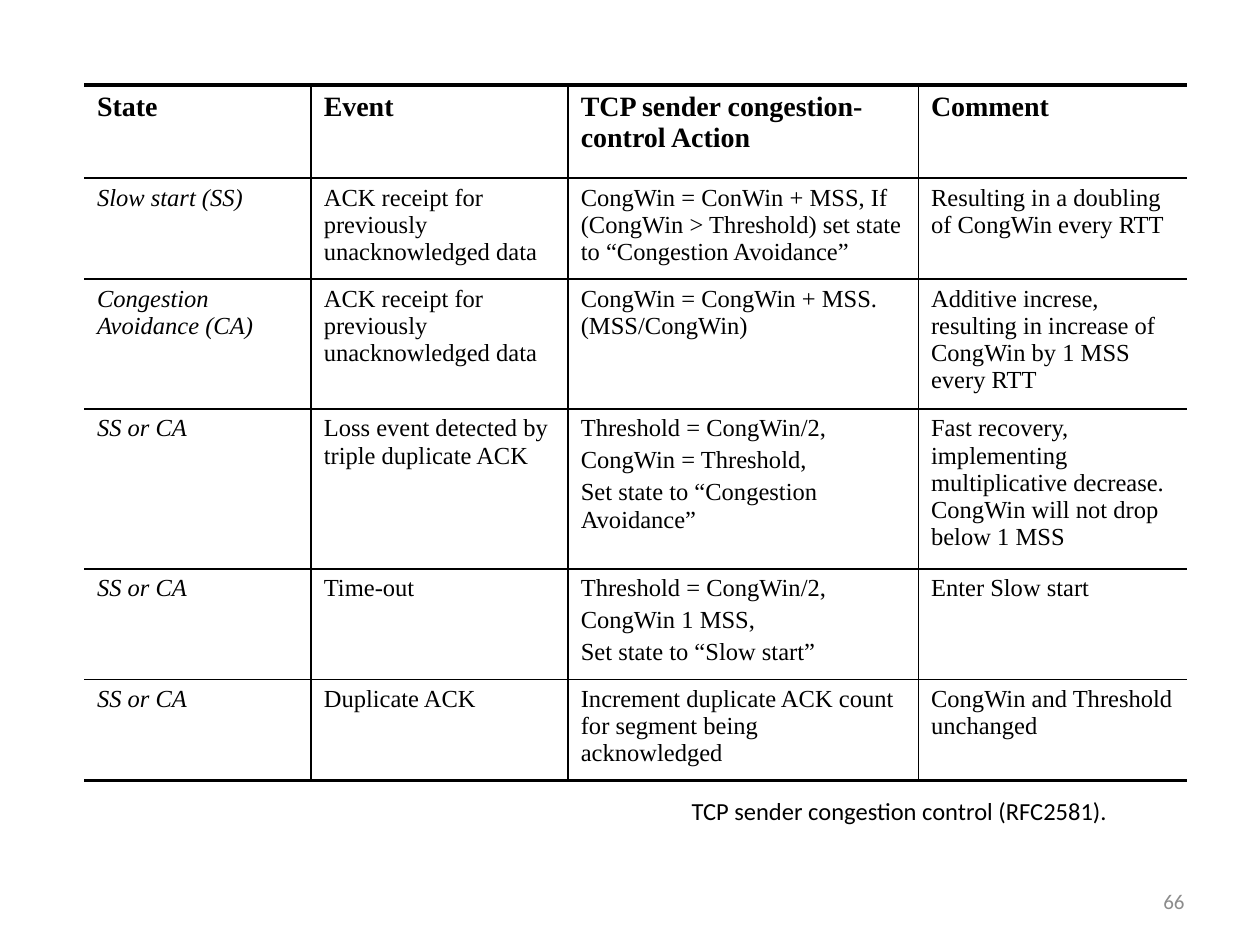
from dataclasses import dataclass

from lxml import etree
from pptx import Presentation
from pptx import util as u
from pptx.dml import color
from pptx.enum import text
from pptx.oxml import ns

W, H = 10, 7.5
COLORS = {"ink": "000000", "number": "8C8C8C"}
SERIF, SANS = "Times New Roman", "Calibri"
THIN, THICK = 1, 2.25
COLUMNS = [1.8, 2.04, 2.78, 2.13]
HEADINGS = ["State", "Event", "TCP sender congestion-control Action", "Comment"]


@dataclass
class Row:
    height: float
    cells: list[str]
    size: int = 14
    heading: bool = False


@dataclass
class Label:
    text: str
    left: float
    top: float
    width: float
    height: float
    size: int
    color: str
    align: text.PP_ALIGN = text.PP_ALIGN.LEFT
    anchor: text.MSO_ANCHOR = text.MSO_ANCHOR.TOP
    wrap: bool = True


ACK = "ACK receipt for previously unacknowledged data"
ROWS = [
    Row(0.74, HEADINGS, size=16, heading=True),
    Row(0.8, [
        "Slow start (SS)", ACK,
        "CongWin = ConWin + MSS, If (CongWin > Threshold) set state to “Congestion Avoidance”",
        "Resulting in a doubling of CongWin every RTT",
    ]),
    Row(1.03, [
        "Congestion Avoidance (CA)", ACK,
        "CongWin = CongWin + MSS.(MSS/CongWin)",
        "Additive increse, resulting in increase of CongWin by 1 MSS every RTT",
    ]),
    Row(1.27, [
        "SS or CA", "Loss event detected by triple duplicate ACK",
        "Threshold = CongWin/2,\nCongWin = Threshold,\nSet state to “Congestion Avoidance”",
        "Fast recovery, implementing multiplicative decrease. CongWin will not drop below 1 MSS",
    ]),
    Row(0.88, [
        "SS or CA", "Time-out",
        "Threshold = CongWin/2,\nCongWin 1 MSS,\nSet state to “Slow start”",
        "Enter Slow start",
    ]),
    Row(0.8, [
        "SS or CA", "Duplicate ACK",
        "Increment duplicate ACK count for segment being acknowledged",
        "CongWin and Threshold unchanged",
    ]),
]
LABELS = [
    Label("66", 0.717, 0.927, 0.233, 0.053, 12, "number",
          text.PP_ALIGN.RIGHT, text.MSO_ANCHOR.MIDDLE),
    Label("TCP sender congestion control (RFC2581).", 0.539, 0.836, 0.359, 0.044,
          14, "ink", wrap=False),
]


def write(tf, content: str, *, font: str, size: int, ink: str = "ink",
          bold: bool = False, italic: bool = False,
          align: text.PP_ALIGN = text.PP_ALIGN.LEFT) -> None:
    for i, line in enumerate(content.split("\n")):
        p = tf.add_paragraph() if i else tf.paragraphs[0]
        p.alignment = align
        if i:
            p.space_before = u.Pt(0.2 * size)
        r = p.add_run()
        r.text = line
        r.font.name, r.font.size = font, u.Pt(size)
        r.font.bold, r.font.italic = bold, italic
        r.font.color.rgb = color.RGBColor.from_string(COLORS[ink])


def set_borders(cell, widths: dict[str, float]) -> None:
    tc_pr = cell._tc.get_or_add_tcPr()
    for i, (side, width) in enumerate(widths.items()):
        ln = etree.Element(ns.qn(f"a:ln{side}"), w=str(u.Pt(width)))
        if width:
            fill = etree.SubElement(ln, ns.qn("a:solidFill"))
            etree.SubElement(fill, ns.qn("a:srgbClr"), val=COLORS["ink"])
        else:
            etree.SubElement(ln, ns.qn("a:noFill"))
        tc_pr.insert(i, ln)


def draw_table(s, rows: list[Row], left: float, top: float) -> None:
    height = sum(row.height for row in rows)
    frame = s.shapes.add_table(len(rows), len(COLUMNS), u.Inches(W * left), u.Inches(H * top),
                               u.Inches(sum(COLUMNS)), u.Inches(height))
    table = frame.table
    table.first_row = table.horz_banding = False
    for column, width in zip(table.columns, COLUMNS):
        column.width = u.Inches(width)
    for i, row in enumerate(rows):
        table.rows[i].height = u.Inches(row.height)
        for j, content in enumerate(row.cells):
            cell = table.cell(i, j)
            cell.fill.background()
            write(cell.text_frame, content, font=SERIF, size=row.size,
                  bold=row.heading, italic=j == 0 and not row.heading)
            set_borders(cell, {
                "L": THIN if j else 0,
                "R": THIN if j < len(COLUMNS) - 1 else 0,
                "T": THIN if i else THICK,
                "B": THIN if i < len(rows) - 1 else THICK,
            })


def draw_label(s, label: Label) -> None:
    sp = s.shapes.add_textbox(u.Inches(W * label.left), u.Inches(H * label.top),
                              u.Inches(W * label.width), u.Inches(H * label.height))
    tf = sp.text_frame
    tf.word_wrap = label.wrap
    tf.vertical_anchor = label.anchor
    write(tf, label.text, font=SANS, size=label.size, ink=label.color, align=label.align)


def main() -> None:
    prs = Presentation()
    prs.slide_width, prs.slide_height = u.Inches(W), u.Inches(H)
    s = prs.slides.add_slide(prs.slide_layouts[6])
    draw_table(s, ROWS, 0.067, 0.09)
    for label in LABELS:
        draw_label(s, label)
    prs.save("out.pptx")


if __name__ == "__main__":
    main()
